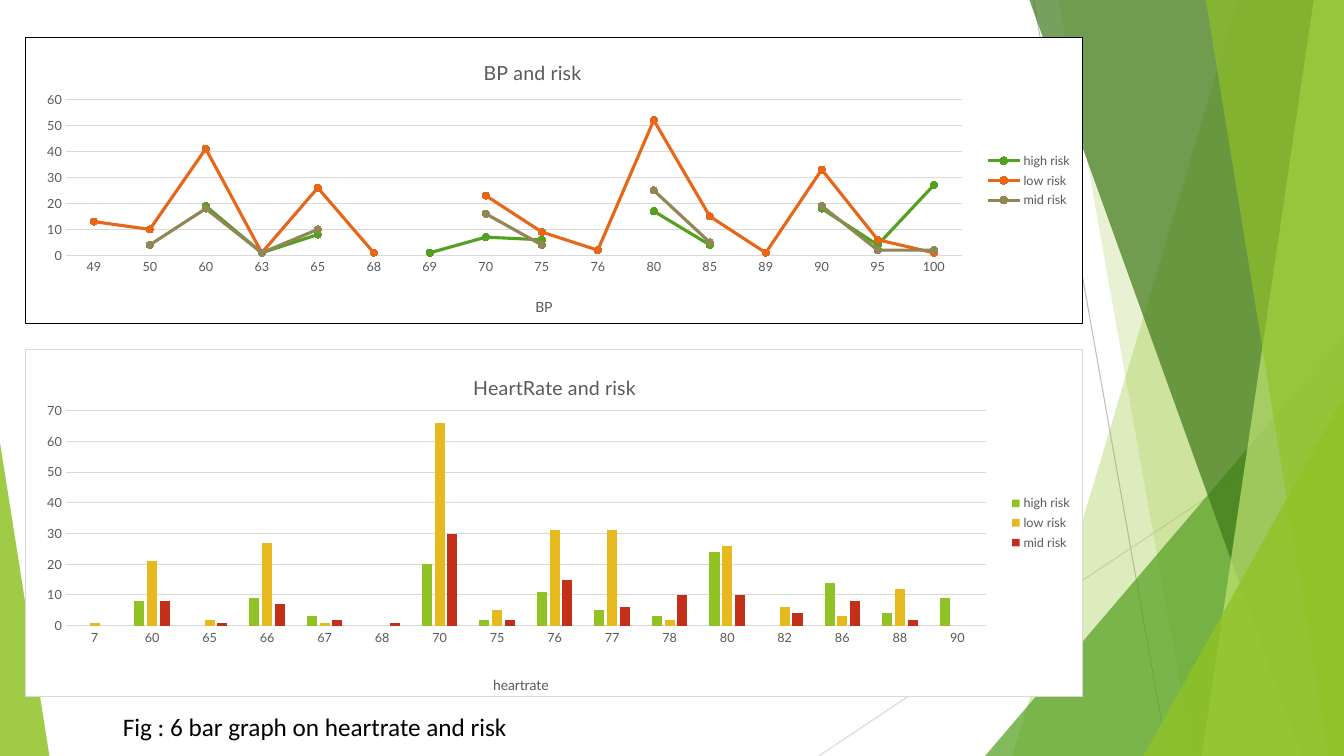
import pptx
import pptx.chart.data
import pptx.dml.color
import pptx.enum.chart
import pptx.enum.shapes
import pptx.enum.text
import pptx.oxml
import pptx.oxml.ns
import pptx.util

THEME = {
    "font": "Lato", "caption_font": "Calibri",
    "title_size": 14, "axis_title_size": 10, "label_size": 9, "caption_size": 18,
    "text": "595959", "black": "000000", "white": "FFFFFF", "grid": "D9D9D9", "ray": "BFBFBF",
    "lime": "90C226", "green": "54A021", "forest": "3F7819", "pale": "C0E474",
    "orange": "E76618", "olive": "918655", "gold": "E6B91E", "red": "C42F1A",
}
QN = pptx.oxml.ns.qn
NAMESPACES = pptx.oxml.ns.nsdecls("a", "c")


def color(name):
    return pptx.dml.color.RGBColor.from_string(THEME[name])


def place(element, **shares):
    """Give a chart part a manual layout in shares of the chart's size."""
    for old in element.findall(QN("c:layout")):
        element.remove(old)
    target = '<c:layoutTarget val="inner"/>' if "w" in shares else ""
    modes = "".join(f'<c:{axis}Mode val="edge"/>' for axis in "xy")
    values = "".join(f'<c:{key} val="{value}"/>' for key, value in shares.items())
    layout = pptx.oxml.parse_xml(
        f"<c:layout {NAMESPACES}><c:manualLayout>{target}{modes}{values}"
        "</c:manualLayout></c:layout>")
    text = element.find(QN("c:tx"))
    if text is None:
        element.insert(0, layout)
    else:
        text.addnext(layout)


presentation = pptx.Presentation()
presentation.slide_width = pptx.util.Inches(13.33)
presentation.slide_height = pptx.util.Inches(7.5)
slide = presentation.slides.add_slide(presentation.slide_layouts[6])
inch, point = pptx.util.Inches, pptx.util.Pt
right, bottom = 13.33, 7.5

# Thin rays behind the facets
for start, end, ray_color in [((10.25, 0), (11.58, bottom), "ray"),
                              ((right, 4.03), (8.12, bottom), "grid")]:
    ray = slide.shapes.add_connector(
        pptx.enum.shapes.MSO_CONNECTOR.STRAIGHT, *map(inch, start + end))
    ray.line.color.rgb = color(ray_color)
    ray.line.width = point(0.75)
    ray._element.spPr.append(pptx.oxml.parse_xml(f"<a:effectLst {NAMESPACES}/>"))

# Facets: a band runs from its slanted left edge (top x, bottom x) to the slide's
# right side; a triangle (left, width, height, apex) stands on the slide's bottom
facets = [
    ((12.28, 10.04), "lime", 30),
    ((10.5, 11.83), "lime", 20),
    ((9.77, 3.56, 4.17, 1), "green", 72),
    ((10.21, 12.91), "forest", 70),
    ((13.03, 11.92), "pale", 70),
    ((11.96, 13.18), "lime", 65),
    ((11.34, 1.99, 3.57, 1), "lime", 80),
    ((0, 0.49, 3.11, 0), "lime", 85),
]
for geometry, facet_color, opacity in facets:
    if len(geometry) == 2:
        top_x, bottom_x = geometry
        builder = slide.shapes.build_freeform(inch(top_x), 0)
        builder.add_line_segments([(inch(x), inch(y)) for x, y in
                                   [(right, 0), (right, bottom), (bottom_x, bottom)]])
        facet = builder.convert_to_shape()
    else:
        left, width, height, apex = geometry
        facet = slide.shapes.add_shape(
            pptx.enum.shapes.MSO_SHAPE.ISOSCELES_TRIANGLE,
            inch(left), inch(bottom - height), inch(width), inch(height))
        facet.adjustments[0] = apex
    facet.shadow.inherit = False
    facet.line.fill.background()
    facet.fill.solid()
    facet.fill.fore_color.rgb = color(facet_color)
    solid = facet._element.spPr.find(QN("a:solidFill"))
    solid[0].append(pptx.oxml.parse_xml(f'<a:alpha {NAMESPACES} val="{opacity * 1000}"/>'))

# Chart contents
chart_types = pptx.enum.chart.XL_CHART_TYPE
charts = [
    {
        "type": chart_types.LINE_MARKERS, "top": 0.37, "height": 2.84, "border": "black",
        "title": "BP and risk", "title_at": (0.43, 0.06),
        "axis": "BP", "axis_at": (0.48, 0.9),
        "plot": {"x": 0.038, "y": 0.216, "w": 0.848, "h": 0.547}, "maximum": 60,
        "categories": [49, 50, 60, 63, 65, 68, 69, 70, 75, 76, 80, 85, 89, 90, 95, 100],
        "series": [
            ("high risk", "green",
             [None, None, 19, 1, 8, None, 1, 7, 6, None, 17, 4, None, 18, 4, 27]),
            ("low risk", "orange",
             [13, 10, 41, 1, 26, 1, None, 23, 9, 2, 52, 15, 1, 33, 6, 1]),
            ("mid risk", "olive",
             [None, 4, 18, 1, 10, None, None, 16, 4, None, 25, 5, None, 19, 2, 2]),
        ],
    },
    {
        "type": chart_types.COLUMN_CLUSTERED, "top": 3.46, "height": 3.46, "border": "grid",
        "title": "HeartRate and risk", "title_at": (0.42, 0.06),
        "axis": "heartrate", "axis_at": (0.44, 0.93),
        "plot": {"x": 0.038, "y": 0.177, "w": 0.871, "h": 0.619}, "maximum": 70,
        "categories": [7, 60, 65, 66, 67, 68, 70, 75, 76, 77, 78, 80, 82, 86, 88, 90],
        "series": [
            ("high risk", "lime",
             [None, 8, None, 9, 3, None, 20, 2, 11, 5, 3, 24, None, 14, 4, 9]),
            ("low risk", "gold",
             [1, 21, 2, 27, 1, None, 66, 5, 31, 31, 2, 26, 6, 3, 12, None]),
            ("mid risk", "red",
             [None, 8, 1, 7, 2, 1, 30, 2, 15, 6, 10, 10, 4, 8, 2, None]),
        ],
    },
]

for content in charts:
    data = pptx.chart.data.CategoryChartData()
    data.categories = [str(category) for category in content["categories"]]
    for name, series_color, values in content["series"]:
        data.add_series(name, values)
    chart = slide.shapes.add_chart(
        content["type"], inch(0.25), inch(content["top"]),
        inch(10.49), inch(content["height"]), data).chart
    chart.font.name = THEME["font"]
    chart.font.size = point(THEME["label_size"])
    chart.font.color.rgb = color("text")

    # Chart frame
    chart._chartSpace.find(QN("c:chart")).addnext(pptx.oxml.parse_xml(
        f'<c:spPr {NAMESPACES}><a:solidFill><a:srgbClr val="{THEME["white"]}"/></a:solidFill>'
        f'<a:ln w="{point(0.75)}"><a:solidFill><a:srgbClr val="{THEME[content["border"]]}"/>'
        "</a:solidFill></a:ln></c:spPr>"))

    # Axes, grid and legend
    for axis in (chart.category_axis, chart.value_axis):
        axis.major_tick_mark = axis.minor_tick_mark = pptx.enum.chart.XL_TICK_MARK.NONE
    chart.category_axis.format.line.color.rgb = color("grid")
    chart.category_axis.format.line.width = point(0.75)
    chart.value_axis.format.line.fill.background()
    chart.value_axis.minimum_scale = 0
    chart.value_axis.maximum_scale = content["maximum"]
    chart.value_axis.major_unit = 10
    chart.value_axis.major_gridlines.format.line.color.rgb = color("grid")
    chart.value_axis.major_gridlines.format.line.width = point(0.75)
    chart.has_legend = True
    chart.legend.position = pptx.enum.chart.XL_LEGEND_POSITION.RIGHT
    chart.legend.include_in_layout = False

    # Chart title and axis title
    for title, part, size in [(chart.chart_title, "title", "title_size"),
                              (chart.category_axis.axis_title, "axis", "axis_title_size")]:
        run = title.text_frame.paragraphs[0].add_run()
        run.text = content[part]
        run.font.name = THEME["font"]
        run.font.size = point(THEME[size])
        run.font.bold = False
        run.font.color.rgb = color("text")
        x, y = content[part + "_at"]
        place(title._element, x=x, y=y)
    place(chart._chartSpace.find(QN("c:chart")).find(QN("c:plotArea")), **content["plot"])

    # Series
    plot = chart.plots[0]
    plot.vary_by_categories = False
    is_line = content["type"] == chart_types.LINE_MARKERS
    if not is_line:
        plot.gap_width, plot.overlap = 219, -27
    for series, (name, series_color, values) in zip(plot.series, content["series"]):
        fills = [series.format.fill]
        if is_line:
            series.smooth = False
            series.format.line.color.rgb = color(series_color)
            series.format.line.width = point(2.25)
            series.marker.style = pptx.enum.chart.XL_MARKER_STYLE.CIRCLE
            series.marker.size = 5
            series.marker.format.line.color.rgb = color(series_color)
            fills = [series.marker.format.fill]
        for fill in fills:
            fill.solid()
            fill.fore_color.rgb = color(series_color)

# Caption
caption = slide.shapes.add_textbox(inch(1.12), inch(6.96), inch(6.68), inch(0.43))
caption.text_frame.word_wrap = True
caption.text_frame.auto_size = pptx.enum.text.MSO_AUTO_SIZE.SHAPE_TO_FIT_TEXT
paragraph = caption.text_frame.paragraphs[0]
paragraph.line_spacing = 1.15
paragraph.space_after = point(10)
run = paragraph.add_run()
run.text = "Fig : 6 bar graph on heartrate and risk"
run.font.name = THEME["caption_font"]
run.font.size = point(THEME["caption_size"])
run.font.color.rgb = color("black")

presentation.save("out.pptx")
